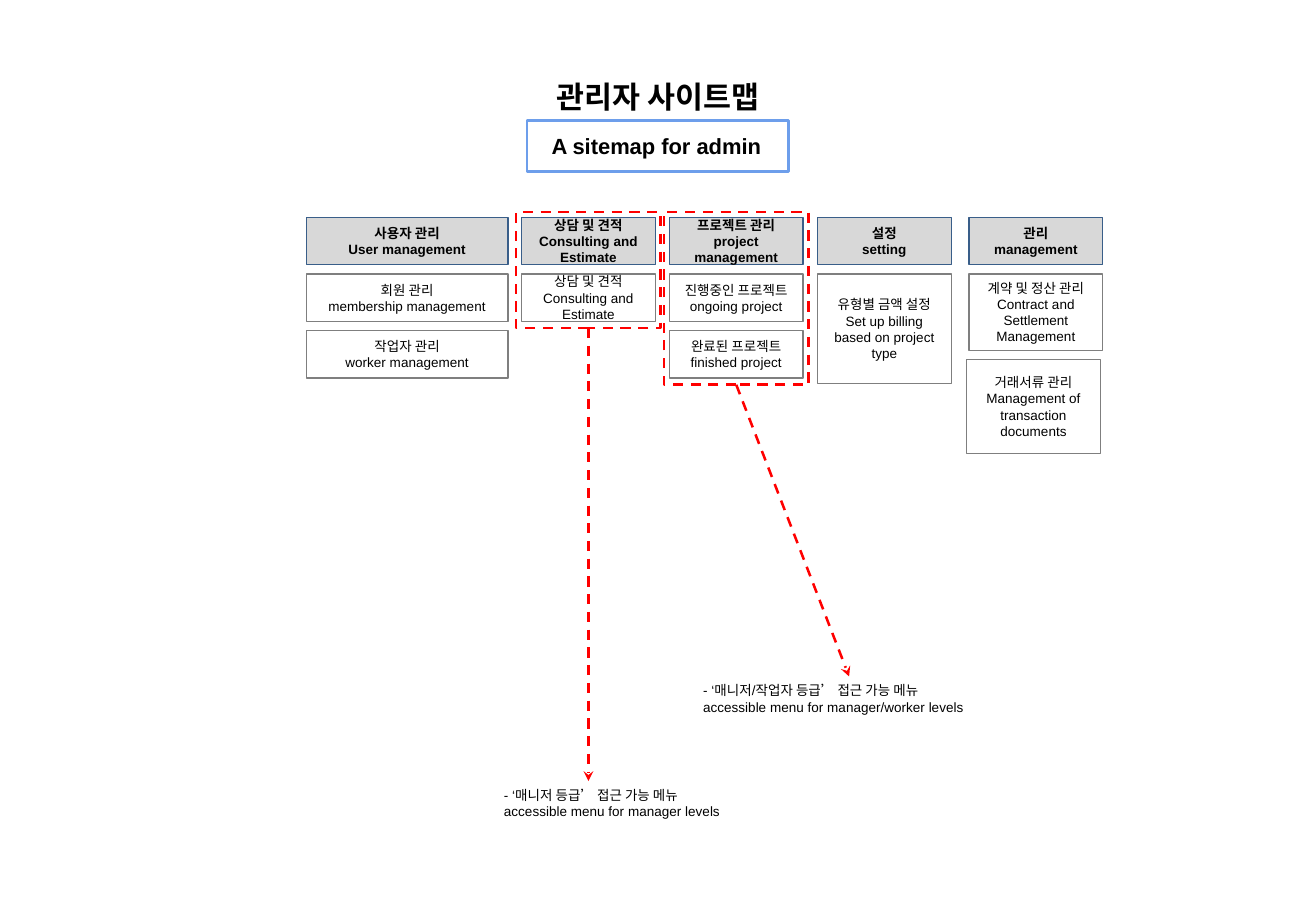
from pptx import Presentation
from pptx import util as u
from pptx.dml.color import RGBColor
from pptx.enum import dml, shapes, text
from pptx.oxml.ns import qn
from lxml import etree

HEADING = "관리자 사이트맵"
SUBTITLE = "A sitemap for admin"
MENUS = [
    dict(left=181.6, width=119.5, header="사용자 관리\nUser management",
         cards=[("회원 관리\nmembership management", 28.1, 0),
                ("작업자 관리\nworker management", 28.1, 0)]),
    dict(left=309.2, width=79.2, header="상담 및 견적\nConsulting and Estimate",
         cards=[("상담 및 견적\nConsulting and Estimate", 28.1, 0)],
         access=dict(note="- ‘매니저 등급’ 접근 가능 메뉴\naccessible menu for manager levels",
                     box=(291.6, 463, 145.4, 26.6), tip=348.8)),
    dict(left=396.8, width=79.2, header="프로젝트 관리\nproject management",
         cards=[("진행중인 프로젝트\nongoing project", 28.1, 0),
                ("완료된 프로젝트\nfinished project", 28.1, 0)],
         access=dict(note="- ‘매니저/작업자 등급’ 접근 가능 메뉴\naccessible menu for manager/worker levels",
                     box=(409.7, 401, 187.2, 26.6), tip=503.3)),
    dict(left=484.6, width=79.2, header="설정\nsetting",
         cards=[("유형별 금액 설정\nSet up billing based on project type", 65, 0)]),
    dict(left=574.4, width=79.2, header="관리\nmanagement",
         cards=[("계약 및 정산 관리\nContract and Settlement Management", 45.4, 0),
                ("거래서류 관리\nManagement of transaction documents", 55.4, -1.4)]),
]
THEME = dict(font="Arial", ink="000000", header="D8D8D8", header_line="395E89",
             card="FFFFFF", card_line="7F7F7F", access="FF0000", subtitle_line="6D9EEB",
             heading_size=18, subtitle_size=13, menu_size=8)
HEADER_TOP, HEADER_HEIGHT, GAP = 128.8, 28.1, 5.5
FRAME_PAD, FRAME_FOOT = 3.2, 4
CENTER, LEFT = text.PP_ALIGN.CENTER, text.PP_ALIGN.LEFT
MIDDLE, TOP = text.MSO_ANCHOR.MIDDLE, text.MSO_ANCHOR.TOP


def color(key):
    return RGBColor.from_string(THEME[key])


def points(values):
    return [u.Pt(value) for value in values]


def write(holder, words, size, bold=False, align=CENTER, anchor=MIDDLE, inset=(7.2, 3.6)):
    frame = holder.text_frame
    frame.text = words
    side, edge = points(inset)
    layout = dict(word_wrap=True, auto_size=text.MSO_AUTO_SIZE.NONE, vertical_anchor=anchor,
                  margin_left=side, margin_right=u.Pt(7.2), margin_top=edge, margin_bottom=edge)
    for name, value in layout.items():
        setattr(frame, name, value)
    for line in frame.paragraphs:
        line.alignment = align
        for name, value in dict(name=THEME["font"], size=u.Pt(THEME[size]), bold=bold).items():
            setattr(line.font, name, value)
        line.font.color.rgb = color("ink")


def stroke(part, key, width, dashed=False):
    part.line.color.rgb = color(key)
    part.line.width = u.Pt(width)
    if dashed:
        part.line.dash_style = dml.MSO_LINE.DASH


def add_box(slide, box, line, width, fill=None, dashed=False):
    part = slide.shapes.add_shape(shapes.MSO_SHAPE.RECTANGLE, *points(box))
    part.shadow.inherit = False
    if fill:
        part.fill.solid()
        part.fill.fore_color.rgb = color(fill)
    else:
        part.fill.background()
    stroke(part, line, width, dashed)
    return part


def add_arrow(slide, start, end):
    arrow = slide.shapes.add_connector(shapes.MSO_CONNECTOR.STRAIGHT, *points(start + end))
    stroke(arrow, "access", 1.5, True)
    etree.SubElement(arrow.line._get_or_add_ln(), qn("a:tailEnd"), type="stealth")
    etree.SubElement(arrow._element.spPr, qn("a:effectLst"))


def add_access(slide, menu, bottom):
    access = menu["access"]
    left, top = menu["left"] - FRAME_PAD, HEADER_TOP - FRAME_PAD
    width, foot = menu["width"] + 2 * FRAME_PAD, bottom + FRAME_FOOT
    add_box(slide, (left, top, width, foot - top), "access", 1.5, dashed=True)
    add_arrow(slide, (left + width / 2, foot), (access["tip"], access["box"][1]))
    note = slide.shapes.add_textbox(*points(access["box"]))
    write(note, access["note"], "menu_size", align=LEFT, anchor=TOP)


def add_menu(slide, menu):
    left, width = menu["left"], menu["width"]
    header = add_box(slide, (left, HEADER_TOP, width, HEADER_HEIGHT), "header_line", 0.75, "header")
    write(header, menu["header"], "menu_size", bold=True)
    bottom = HEADER_TOP + HEADER_HEIGHT
    for words, height, shift in menu["cards"]:
        top = bottom + GAP
        card = add_box(slide, (left + shift, top, width, height), "card_line", 0.75, "card")
        write(card, words, "menu_size")
        bottom = top + height
    if "access" in menu:
        add_access(slide, menu, bottom)


def main():
    deck = Presentation()
    deck.slide_width, deck.slide_height = points((780, 540))
    slide = deck.slides.add_slide(deck.slide_layouts[5])
    heading = slide.shapes.title
    for name, value in zip(("left", "top", "width", "height"), points((153.4, 42.5, 473, 28.8))):
        setattr(heading, name, value)
    write(heading, HEADING, "heading_size", bold=True, anchor=TOP)
    for menu in MENUS:
        add_menu(slide, menu)
    subtitle = add_box(slide, (312.5, 71.4, 154.8, 30.4), "subtitle_line", 1.5)
    write(subtitle, SUBTITLE, "subtitle_size", bold=True, align=LEFT, anchor=TOP, inset=(14.4, 7.2))
    deck.save("out.pptx")


if __name__ == "__main__":
    main()
